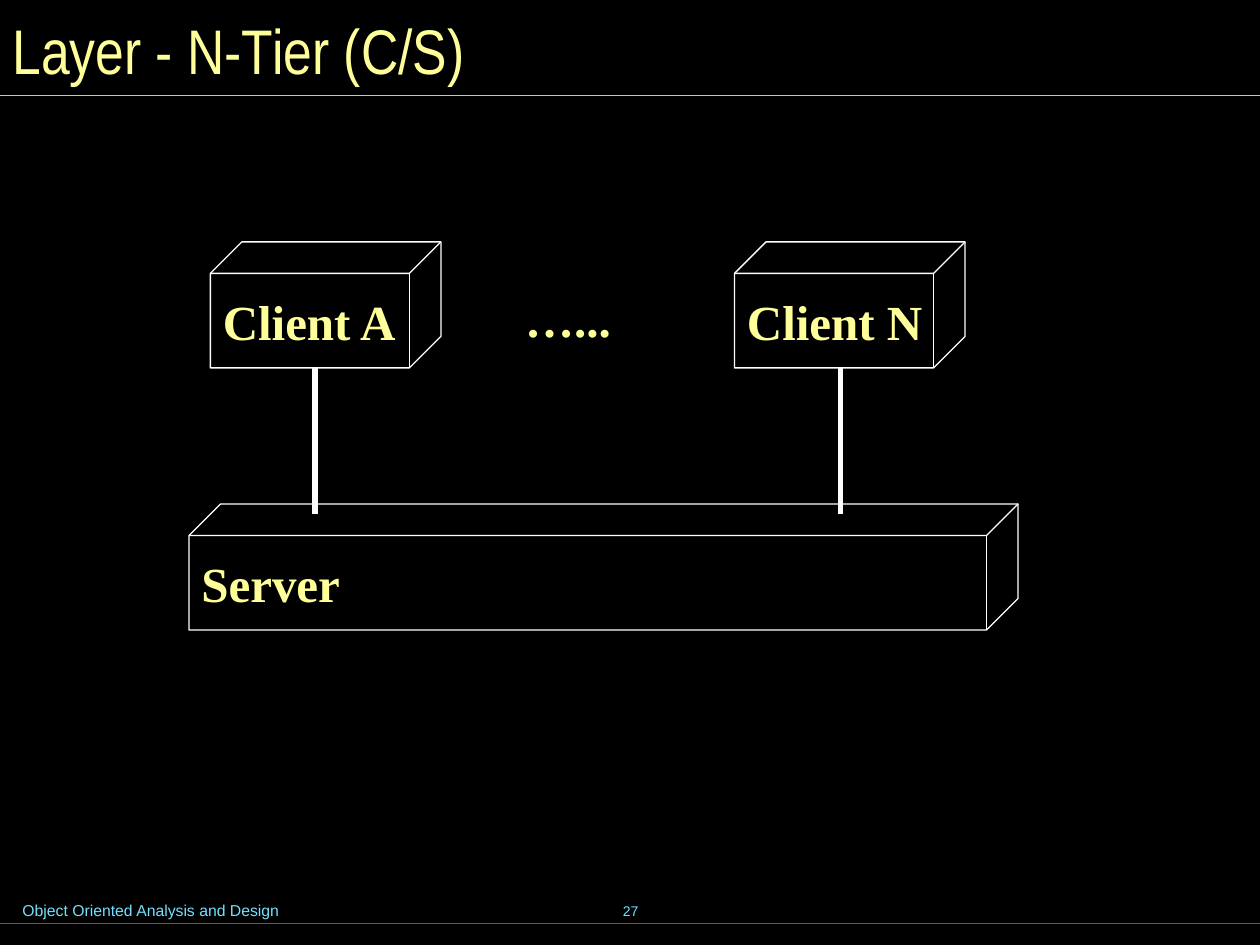
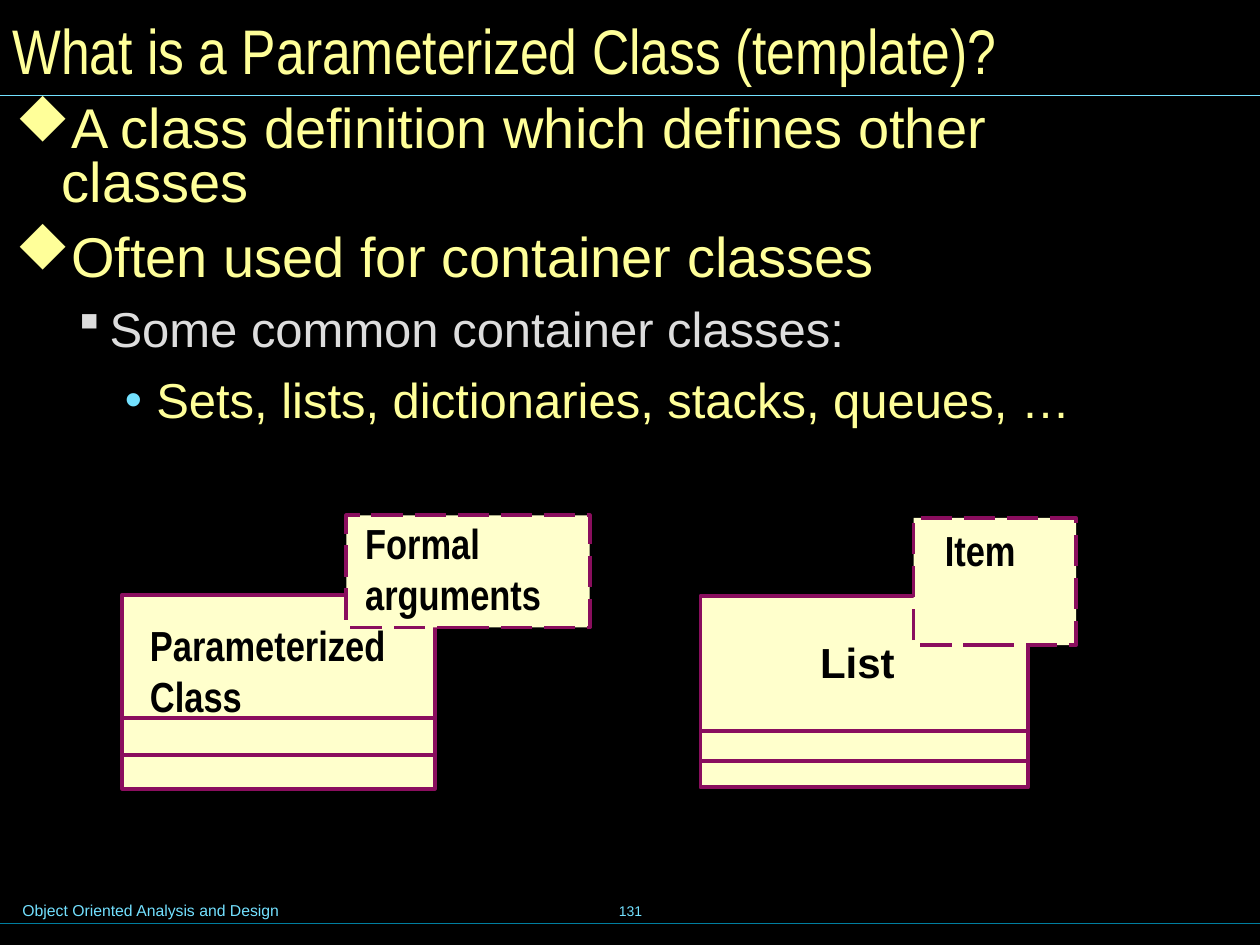
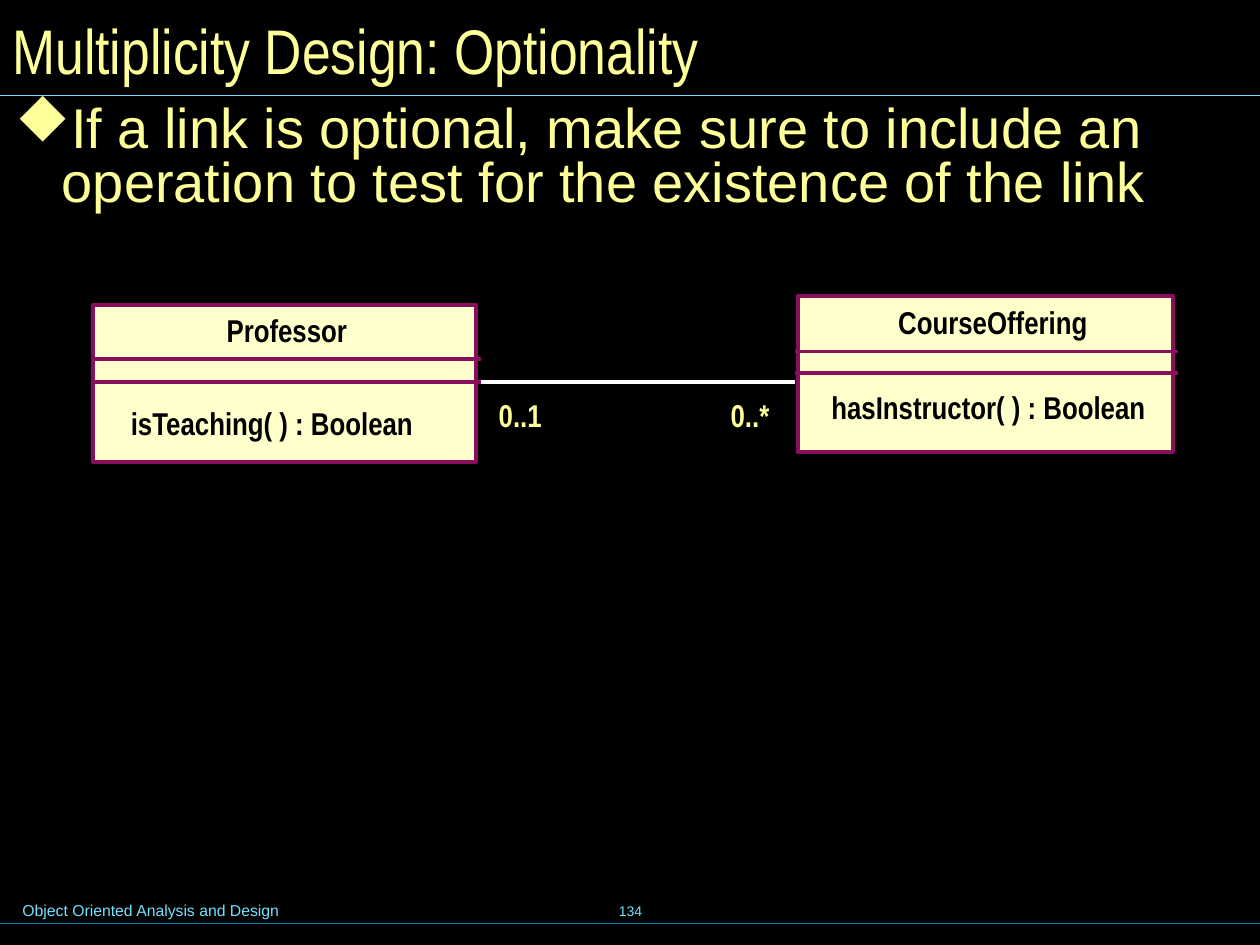
"""Build three object oriented design slides with diagrams."""
from dataclasses import dataclass

import lxml.etree
import pptx
import pptx.dml.color
import pptx.enum.dml
import pptx.enum.shapes
import pptx.enum.text
import pptx.oxml.ns
import pptx.util

Inches = pptx.util.Inches
Pt = pptx.util.Pt
qn = pptx.oxml.ns.qn
SHAPE = pptx.enum.shapes.MSO_SHAPE
ALIGN = pptx.enum.text.PP_ALIGN
ANCHOR = pptx.enum.text.MSO_ANCHOR

COLORS = {
    "background": "000000",
    "yellow": "FFFF99",
    "cyan": "73E1FF",
    "teal": "007E9F",
    "white": "FFFFFF",
    "gray": "DDDDDD",
    "cream": "FFFFCC",
    "plum": "8A0E5E",
    "black": "000000",
}
SANS, NARROW, SERIF, SYMBOL = "Arial", "Arial Narrow", "Times New Roman", "Wingdings"
FOOTER = "Object Oriented Analysis and Design"


@dataclass
class Box:
    left: float
    top: float
    width: float
    height: float


@dataclass
class Style:
    size: float
    font: str
    color: str
    bold: bool = False


@dataclass
class Label:
    box: Box
    text: str
    style: Style
    wrap: bool = False
    inset: bool = True


@dataclass
class ClassBox:
    box: Box
    line_left: float
    line_right: float
    dividers: tuple[float, ...]


@dataclass
class Level:
    margin: float
    indent: float
    bullet: str
    bullet_font: str
    bullet_color: str
    style: Style
    space_before: float
    line_spacing: float


TITLE = Style(36, NARROW, "yellow")
NODE = Style(28, SERIF, "yellow", True)
CLASS_LARGE = Style(24, NARROW, "black", True)
CLASS_SMALL = Style(18, NARROW, "black", True)
MULTIPLICITY = Style(18, NARROW, "yellow", True)
LEVELS = (
    Level(0.37, -0.37, "u", SYMBOL, "yellow", Style(32, SANS, "yellow"), 12, 0.8),
    Level(0.75, -0.25, "§", SYMBOL, "gray", Style(28, SANS, "gray"), 10.5, 0.87),
    Level(1.12, -0.25, "•", SANS, "cyan", Style(28, SANS, "yellow"), 7, 1.0),
)


def rgb(name: str) -> pptx.dml.color.RGBColor:
    """Return a palette colour."""
    return pptx.dml.color.RGBColor.from_string(COLORS[name])


def place(box: Box) -> tuple:
    """Return the box as slide lengths."""
    return tuple(Inches(v) for v in (box.left, box.top, box.width, box.height))


def add_run(p, text: str, style: Style) -> None:
    """Add one styled run to a paragraph."""
    r = p.add_run()
    r.text = text
    r.font.size = Pt(style.size)
    r.font.name = style.font
    r.font.bold = style.bold
    r.font.color.rgb = rgb(style.color)


def set_insets(tf, x: float, y: float) -> None:
    """Set the side and the top and bottom insets."""
    tf.margin_left = tf.margin_right = Inches(x)
    tf.margin_top = tf.margin_bottom = Inches(y)


def fill_text(tf, text: str, style: Style, wrap: bool = False,
              align=ALIGN.LEFT, anchor=ANCHOR.TOP) -> None:
    """Write the lines of a text as paragraphs."""
    tf.word_wrap = wrap
    tf.vertical_anchor = anchor
    for i, line in enumerate(text.split("\n")):
        p = tf.add_paragraph() if i else tf.paragraphs[0]
        p.alignment = align
        add_run(p, line, style)


def add_label(s, label: Label, align=ALIGN.LEFT, anchor=ANCHOR.TOP) -> None:
    """Add a text box."""
    tf = s.shapes.add_textbox(*place(label.box)).text_frame
    set_insets(tf, *((0.1, 0.05) if label.inset else (0, 0)))
    fill_text(tf, label.text, label.style, label.wrap, align, anchor)


def add_line(s, x1: float, y1: float, x2: float, y2: float,
             color: str, width: float) -> None:
    """Add a straight line without a shadow."""
    sp = s.shapes.add_connector(pptx.enum.shapes.MSO_CONNECTOR.STRAIGHT,
                                *(Inches(v) for v in (x1, y1, x2, y2)))
    sp.line.color.rgb = rgb(color)
    sp.line.width = Pt(width)
    lxml.etree.SubElement(sp._element.spPr, qn("a:effectLst"))


def add_cube(s, box: Box, text: str) -> None:
    """Add an outlined cube for a tier node."""
    sp = s.shapes.add_shape(SHAPE.CUBE, *place(box))
    sp.adjustments[0] = 0.25
    sp.shadow.inherit = False
    sp.fill.background()
    sp.line.color.rgb = rgb("white")
    sp.line.width = Pt(0.75)
    set_insets(sp.text_frame, 0.1, 0.05)
    fill_text(sp.text_frame, text, NODE, anchor=ANCHOR.MIDDLE)


def add_rect(s, box: Box, dashed: bool = False) -> None:
    """Add a cream rectangle with a plum outline."""
    sp = s.shapes.add_shape(SHAPE.RECTANGLE, *place(box))
    sp.shadow.inherit = False
    sp.fill.solid()
    sp.fill.fore_color.rgb = rgb("cream")
    sp.line.color.rgb = rgb("plum")
    sp.line.width = Pt(2.25)
    if dashed:
        sp.line.dash_style = pptx.enum.dml.MSO_LINE.LONG_DASH


def add_class(s, cls: ClassBox) -> None:
    """Add a class box with its compartment lines."""
    add_rect(s, cls.box)
    for y in cls.dividers:
        add_line(s, cls.line_left, y, cls.line_right, y, "plum", 2.25)


def set_bullet(p, level: Level) -> None:
    """Set the indent and the bullet of a paragraph."""
    pPr = p._p.get_or_add_pPr()
    pPr.set("marL", str(Inches(level.margin)))
    pPr.set("indent", str(Inches(level.indent)))
    color = lxml.etree.SubElement(pPr, qn("a:buClr"))
    lxml.etree.SubElement(color, qn("a:srgbClr"), val=COLORS[level.bullet_color])
    font = lxml.etree.SubElement(pPr, qn("a:buFont"), typeface=level.bullet_font)
    if level.bullet_font == SYMBOL:
        font.set("charset", "2")
    lxml.etree.SubElement(pPr, qn("a:buChar"), char=level.bullet)


def add_body(s, height: float, items: list[tuple[int, str]]) -> None:
    """Add the bulleted body text."""
    tf = s.shapes.add_textbox(*place(Box(0, 0.78, 9.28, height))).text_frame
    tf.word_wrap = True
    set_insets(tf, 0.12, 0.06)
    for i, (depth, text) in enumerate(items):
        level = LEVELS[depth]
        p = tf.add_paragraph() if i else tf.paragraphs[0]
        p.level = depth
        set_bullet(p, level)
        p.line_spacing = level.line_spacing
        if i:
            p.space_before = Pt(level.space_before)
        add_run(p, text, level.style)


def add_slide(prs, title: str, number: int, title_width: float = 9.93):
    """Add a slide with its title, rules and footer."""
    s = prs.slides.add_slide(prs.slide_layouts[6])
    s.background.fill.solid()
    s.background.fill.fore_color.rgb = rgb("background")
    add_label(s, Label(Box(0.08, 7.1, 5.1, 0.25), FOOTER, Style(9, SANS, "cyan"), True))
    add_label(s, Label(Box(3.42, 6.98, 3.17, 0.5), str(number), Style(8, SANS, "cyan")),
              ALIGN.CENTER, ANCHOR.MIDDLE)
    add_line(s, 0, 7.33, 10.04, 7.33, "teal", 0.75)
    add_line(s, 0, 0.76, 10, 0.76, "cyan", 0.75)
    add_label(s, Label(Box(0, 0, title_width, 0.78), title, TITLE, True),
              anchor=ANCHOR.MIDDLE)
    return s


def tier_slide(prs) -> None:
    """Build the client and server slide."""
    s = add_slide(prs, "Layer - N-Tier (C/S)", 27, 9.65)
    add_cube(s, Box(1.5, 4, 6.58, 1), "Server")
    for left, text in ((1.67, "Client A"), (5.83, "Client N")):
        add_cube(s, Box(left, 1.92, 1.83, 1), text)
    add_label(s, Label(Box(4.07, 2.24, 0.88, 0.57), "…...", NODE))
    for x in (2.5, 6.67):
        add_line(s, x, 2.92, x, 4.08, "white", 3)


def template_slide(prs) -> None:
    """Build the parameterized class slide."""
    s = add_slide(prs, "What is a Parameterized Class (template)?", 131)
    add_class(s, ClassBox(Box(0.97, 4.72, 2.48, 1.54), 0.97, 3.45, (5.7, 5.99)))
    add_class(s, ClassBox(Box(5.56, 4.73, 2.6, 1.52), 5.55, 8.17, (5.8, 6.04)))
    for box in (Box(2.75, 4.09, 1.93, 0.89), Box(7.25, 4.11, 1.29, 1.01)):
        add_rect(s, box, dashed=True)
    for label in (
        Label(Box(7.4, 4.11, 1.08, 0.5), "Item", CLASS_LARGE, True),
        Label(Box(6.41, 5, 0.79, 0.5), "List", Style(24, SANS, "black", True)),
        Label(Box(1.19, 4.92, 1.87, 0.8), "Parameterized\nClass", CLASS_LARGE, inset=False),
        Label(Box(2.8, 4.06, 2.03, 0.9), "Formal arguments", CLASS_LARGE, True),
    ):
        add_label(s, label)
    add_body(s, 5.52, [
        (0, "A class definition which defines other classes"),
        (0, "Often used for container classes"),
        (1, "Some common container classes:"),
        (2, "Sets, lists, dictionaries, stacks, queues, …"),
    ])


def optionality_slide(prs) -> None:
    """Build the optional link slide."""
    s = add_slide(prs, "Multiplicity Design: Optionality", 134)
    add_class(s, ClassBox(Box(6.33, 2.35, 2.98, 1.24), 6.31, 9.35, (2.79, 2.96)))
    add_class(s, ClassBox(Box(0.74, 2.42, 3.04, 1.25), 0.73, 3.82, (2.85, 3.03)))
    add_line(s, 3.82, 3.03, 6.31, 3.03, "white", 2.25)
    for label in (
        Label(Box(7.03, 2.36, 1.71, 0.4), "CourseOffering", CLASS_SMALL),
        Label(Box(1.7, 2.42, 1.16, 0.4), "Professor", CLASS_SMALL),
        Label(Box(0.94, 3.16, 2.46, 0.4), "isTeaching( ) : Boolean", CLASS_SMALL),
        Label(Box(6.5, 3.03, 2.7, 0.4), "hasInstructor( ) : Boolean", CLASS_SMALL),
        Label(Box(3.86, 3.09, 0.54, 0.4), "0..1", MULTIPLICITY),
        Label(Box(5.7, 3.09, 0.51, 0.4), "0..*", MULTIPLICITY),
    ):
        add_label(s, label)
    add_body(s, 1.19, [
        (0, "If a link is optional, make sure to include an operation"
            " to test for the existence of the link"),
    ])


def main() -> None:
    """Build and save the presentation."""
    prs = pptx.Presentation()
    prs.slide_width = Inches(10)
    prs.slide_height = Inches(7.5)
    tier_slide(prs)
    template_slide(prs)
    optionality_slide(prs)
    prs.save("out.pptx")


if __name__ == "__main__":
    main()
